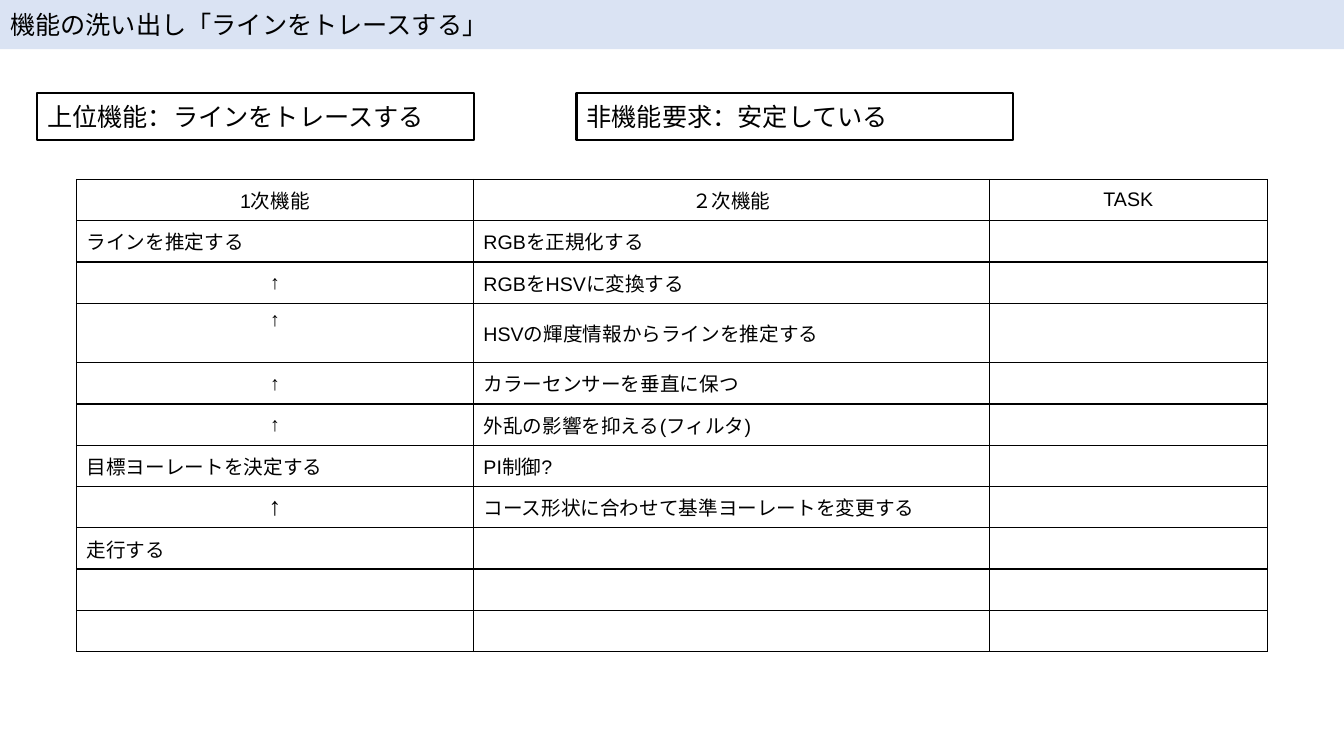
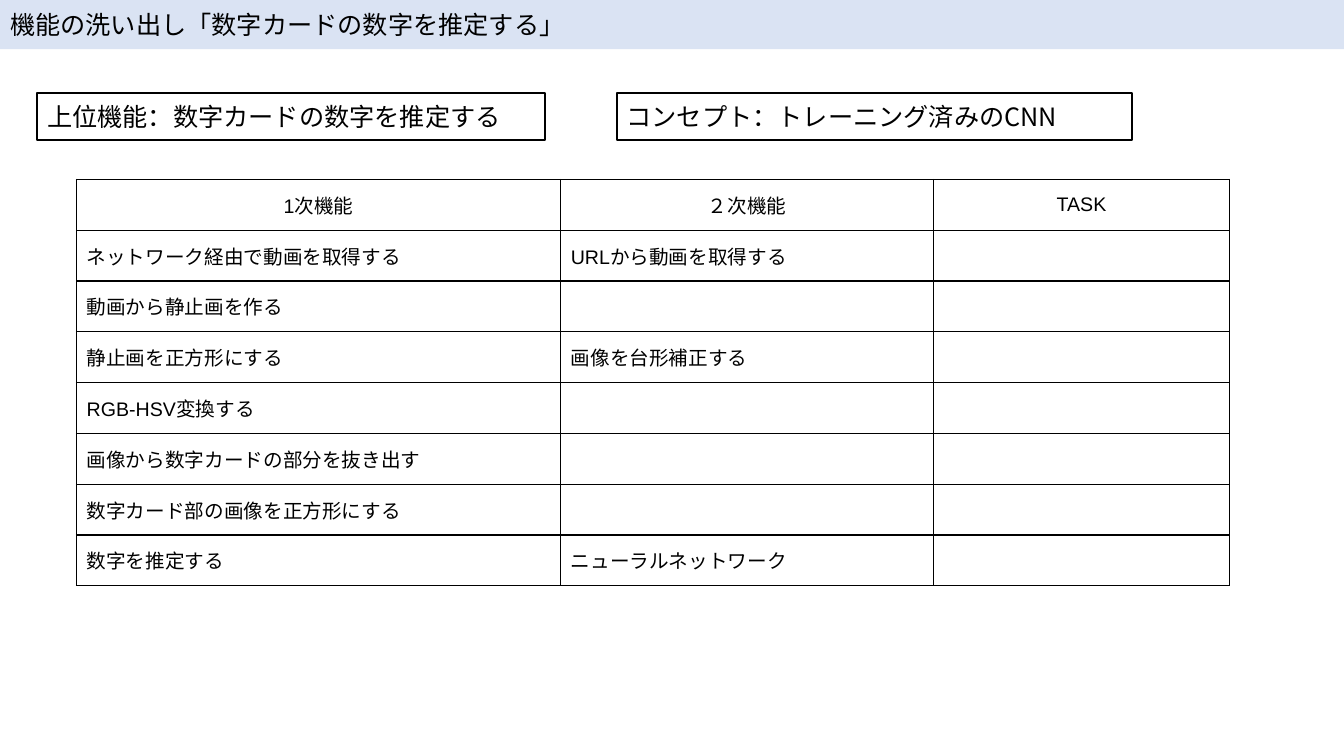
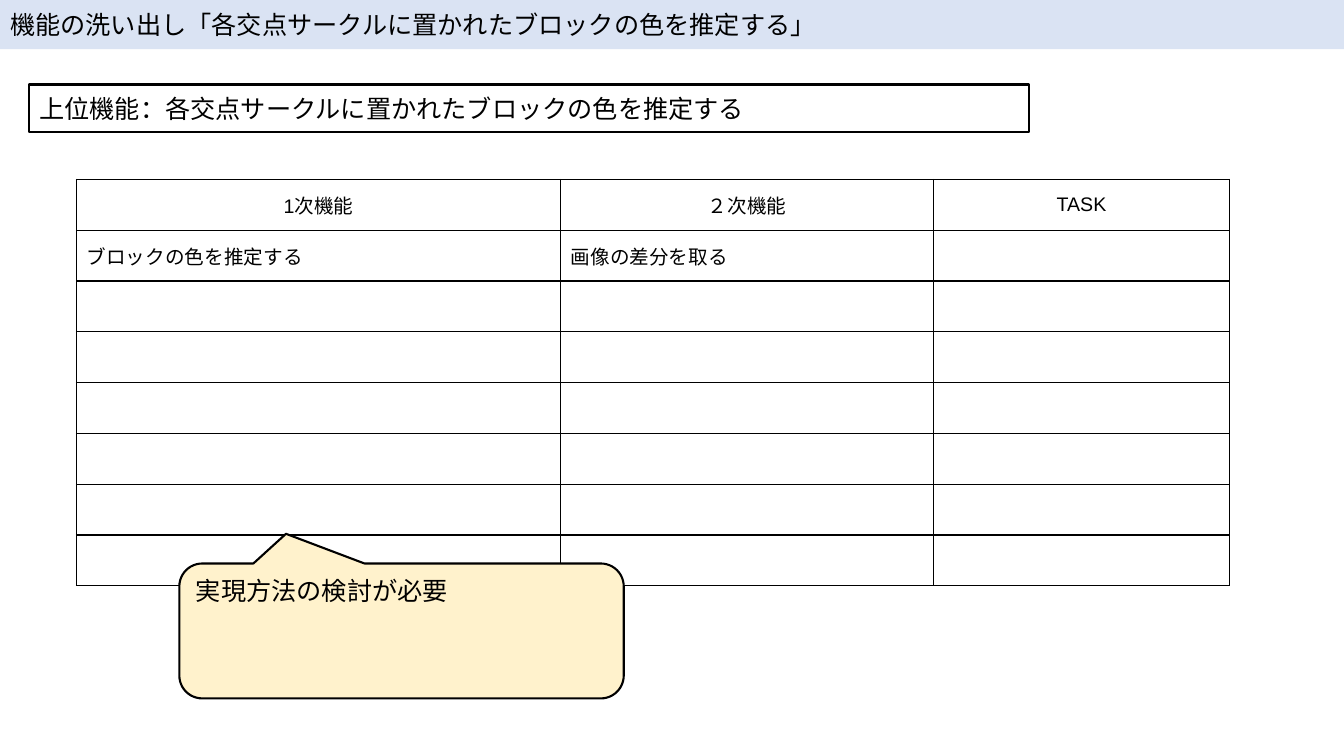
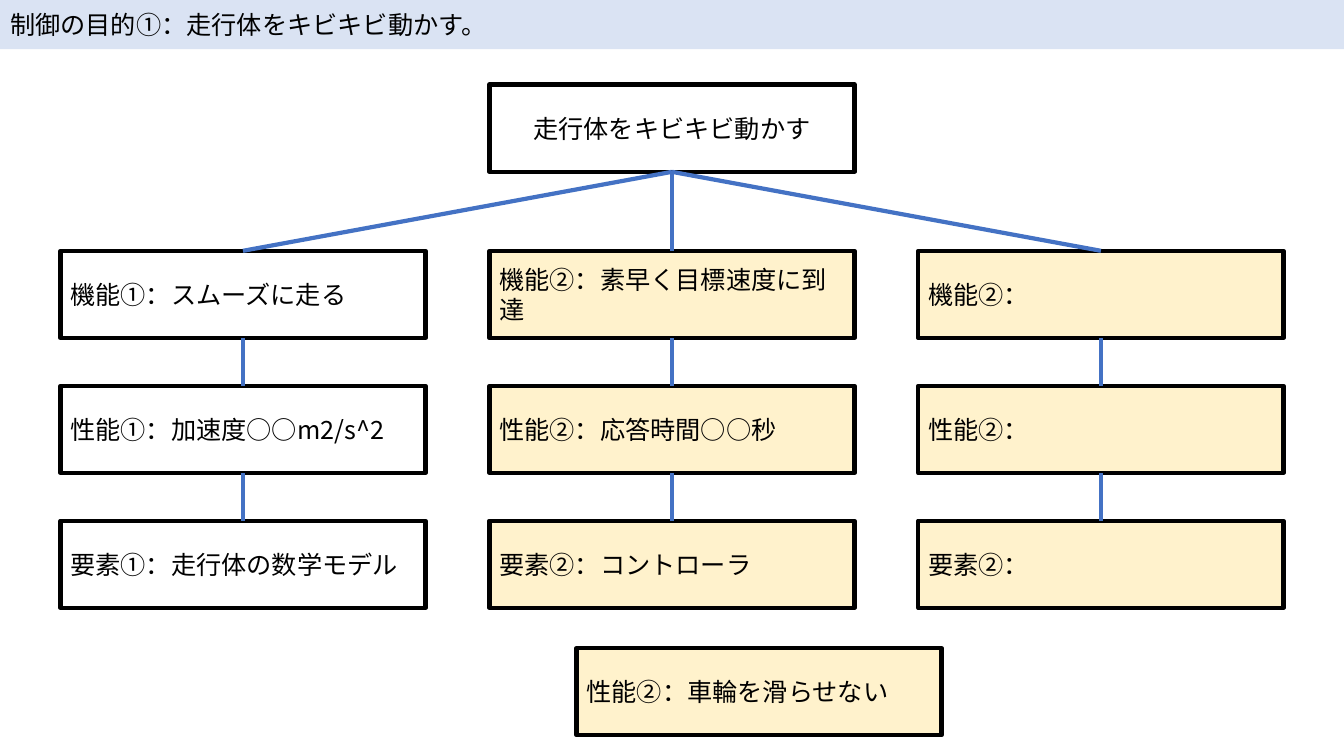
from lxml.etree import SubElement
from pptx import Presentation
from pptx.dml.color import RGBColor
from pptx.enum.shapes import MSO_CONNECTOR, MSO_SHAPE
from pptx.enum.text import MSO_ANCHOR as ANCHOR, MSO_AUTO_SIZE, PP_ALIGN as ALIGN
from pptx.oxml.ns import qn
from pptx.util import Cm, Pt

SLIDE_W, SLIDE_H = 33.87, 19.05
BLACK, WHITE, BAND, CREAM, BLUE = "000000", "FFFFFF", "DAE3F3", "FFF2CC", "4472C4"
JAPANESE, LATIN = "Noto Sans CJK JP", "Arial"
TITLE_ONLY = 5
ARROW = "↑"
HEADINGS = ("1次機能", "２次機能", "TASK")
TABLE_LEFT, TABLE_TOP = 1.93, 4.52
CARD_COLUMNS, CARD_ROW = (12.2, 9.4, 7.45), 1.28
LABEL_TOP, LABEL_H = 2.34, 1.19
NODE_W, NODE_H = 9.2, 2.2
BRANCH_PITCH, LEVEL_PITCH, LEVEL_TOP = 10.81, 3.4, 6.32


def colour(value):
    """Turn a hex string into a colour."""
    return RGBColor.from_string(value)


def write(frame, text, size=18, font=JAPANESE, east=JAPANESE,
          align=ALIGN.LEFT, anchor=ANCHOR.MIDDLE):
    """Put formatted text into a text frame."""
    frame.word_wrap = True
    frame.vertical_anchor = anchor
    paragraph = frame.paragraphs[0]
    paragraph.alignment = align
    run = paragraph.add_run()
    run.text = text
    run.font.size = Pt(size)
    run.font.color.rgb = colour(BLACK)
    run.font.name = font
    SubElement(run.font._element, qn("a:ea"), typeface=east)


def add_page(deck, heading):
    """Add a slide with its title band."""
    page = deck.slides.add_slide(deck.slide_layouts[TITLE_ONLY])
    title = page.shapes.title
    title.left, title.top, title.width, title.height = Cm(0), Cm(0), Cm(SLIDE_W), Cm(1.24)
    title.fill.solid()
    title.fill.fore_color.rgb = colour(BAND)
    title.text_frame.auto_size = MSO_AUTO_SIZE.NONE
    write(title.text_frame, heading)
    return page


def add_box(page, text, left, top, width, height, fill=WHITE, border=1.5,
            outline=MSO_SHAPE.RECTANGLE, **text_format):
    """Add a filled, outlined shape with text."""
    box = page.shapes.add_shape(outline, Cm(left), Cm(top), Cm(width), Cm(height))
    box.shadow.inherit = False
    box.fill.solid()
    box.fill.fore_color.rgb = colour(fill)
    box.line.color.rgb = colour(BLACK)
    box.line.width = Pt(border)
    write(box.text_frame, text, **text_format)
    return box


def add_label(page, text, left, width, top=LABEL_TOP):
    """Add an outlined one-line label above a table."""
    return add_box(page, text, left, top, width, LABEL_H)


def add_node(page, text, left, top, fill=CREAM, **text_format):
    """Add a box of the goal tree."""
    return add_box(page, text, left, top, NODE_W, NODE_H, fill, 3, **text_format)


def link(page, upper, lower):
    """Join the bottom of one box to the top of another."""
    joint = page.shapes.add_connector(MSO_CONNECTOR.STRAIGHT, 0, 0, 0, 0)
    joint.begin_connect(upper, 2)
    joint.end_connect(lower, 0)
    joint.line.color.rgb = colour(BLUE)
    joint.line.width = Pt(3)
    SubElement(joint._element.spPr, qn("a:effectLst"))


def draw_borders(cell):
    """Give a cell thin black borders and no fill."""
    properties = cell._tc.get_or_add_tcPr()
    for side in ("lnL", "lnR", "lnT", "lnB"):
        edge = SubElement(properties, qn(f"a:{side}"), w=str(Pt(1)))
        SubElement(SubElement(edge, qn("a:solidFill")), qn("a:srgbClr"), val=BLACK)
    cell.fill.background()


def add_function_table(page, rows, columns, row_height, row_count):
    """Add a function table, empty below the given rows."""
    table = page.shapes.add_table(
        row_count, len(columns), Cm(TABLE_LEFT), Cm(TABLE_TOP),
        Cm(sum(columns)), Cm(row_height * row_count)).table
    table.first_row = table.horz_banding = False
    for column, width in zip(table.columns, columns):
        column.width = Cm(width)
    for row in table.rows:
        row.height = Cm(row_height)
    for cell in table.iter_cells():
        draw_borders(cell)
    for r, texts in enumerate((HEADINGS, *rows)):
        for c, text in enumerate(texts):
            if text:
                cell = table.cell(r, c)
                write(cell.text_frame, text, size=14, font=LATIN,
                      east=LATIN if text == ARROW else JAPANESE,
                      align=ALIGN.CENTER if r == 0 or text == ARROW else ALIGN.LEFT)
                cell.vertical_anchor = ANCHOR.MIDDLE
    return table


def build_line_tracing(deck):
    """Build the line tracing slide."""
    page = add_page(deck, "機能の洗い出し「ラインをトレースする」")
    rows = (
        ("ラインを推定する", "RGBを正規化する"),
        (ARROW, "RGBをHSVに変換する"),
        (ARROW, "HSVの輝度情報からラインを推定する"),
        (ARROW, "カラーセンサーを垂直に保つ"),
        (ARROW, "外乱の影響を抑える(フィルタ)"),
        ("目標ヨーレートを決定する", "PI制御?"),
        (ARROW, "コース形状に合わせて基準ヨーレートを変更する"),
        ("走行する",),
    )
    table = add_function_table(page, rows, (10, 13, 7.01), 1.04, 11)
    table.rows[3].height = Cm(1.5)
    table.cell(3, 0).vertical_anchor = ANCHOR.TOP
    table.cell(7, 0).text_frame.paragraphs[0].runs[0].font.size = Pt(18)
    add_label(page, "上位機能：ラインをトレースする", 0.94, 11)
    add_label(page, "非機能要求：安定している", 14.53, 11)


def build_number_card(deck):
    """Build the number card slide."""
    page = add_page(deck, "機能の洗い出し「数字カードの数字を推定する」")
    rows = (
        ("ネットワーク経由で動画を取得する", "URLから動画を取得する"),
        ("動画から静止画を作る",),
        ("静止画を正方形にする", "画像を台形補正する"),
        ("RGB-HSV変換する",),
        ("画像から数字カードの部分を抜き出す",),
        ("数字カード部の画像を正方形にする",),
        ("数字を推定する", "ニューラルネットワーク"),
    )
    add_function_table(page, rows, CARD_COLUMNS, CARD_ROW, 8)
    add_label(page, "上位機能：数字カードの数字を推定する", 0.94, 12.8)
    add_label(page, "コンセプト：トレーニング済みのCNN", 15.54, 13)


def build_block_colour(deck):
    """Build the block colour slide."""
    page = add_page(deck, "機能の洗い出し「各交点サークルに置かれたブロックの色を推定する」")
    rows = (("ブロックの色を推定する", "画像の差分を取る"),)
    add_function_table(page, rows, CARD_COLUMNS, CARD_ROW, 8)
    add_label(page, "上位機能：各交点サークルに置かれたブロックの色を推定する", 0.74, 25.2, 2.13)
    remark = add_box(page, "実現方法の検討が必要", 4.52, 14.2, 11.2, 3.4, CREAM,
                     outline=MSO_SHAPE.ROUNDED_RECTANGULAR_CALLOUT, anchor=ANCHOR.TOP)
    for i, value in enumerate((-0.26, -0.72, 0.17)):
        remark.adjustments[i] = value


def build_goal_tree(deck):
    """Build the control goal tree slide."""
    page = add_page(deck, "制御の目的①：走行体をキビキビ動かす。")
    middle = (SLIDE_W - NODE_W) / 2
    goal = add_node(page, "走行体をキビキビ動かす", middle, 2.13, WHITE, align=ALIGN.CENTER)
    branches = (
        (WHITE, ("機能①：スムーズに走る", "性能①：加速度○○m2/s^2", "要素①：走行体の数学モデル")),
        (CREAM, ("機能②：素早く目標速度に到達", "性能②：応答時間○○秒", "要素②：コントローラ")),
        (CREAM, ("機能②：", "性能②：", "要素②：")),
    )
    for i, (fill, texts) in enumerate(branches):
        upper = goal
        for level, text in enumerate(texts):
            node = add_node(page, text, middle + (i - 1) * BRANCH_PITCH,
                            LEVEL_TOP + level * LEVEL_PITCH, fill)
            link(page, upper, node)
            upper = node
    add_node(page, "性能②：車輪を滑らせない", 14.53, 16.33)


def main():
    """Build and save the deck."""
    deck = Presentation()
    deck.slide_width, deck.slide_height = Cm(SLIDE_W), Cm(SLIDE_H)
    build_line_tracing(deck)
    build_number_card(deck)
    build_block_colour(deck)
    build_goal_tree(deck)
    deck.save("out.pptx")


if __name__ == "__main__":
    main()
